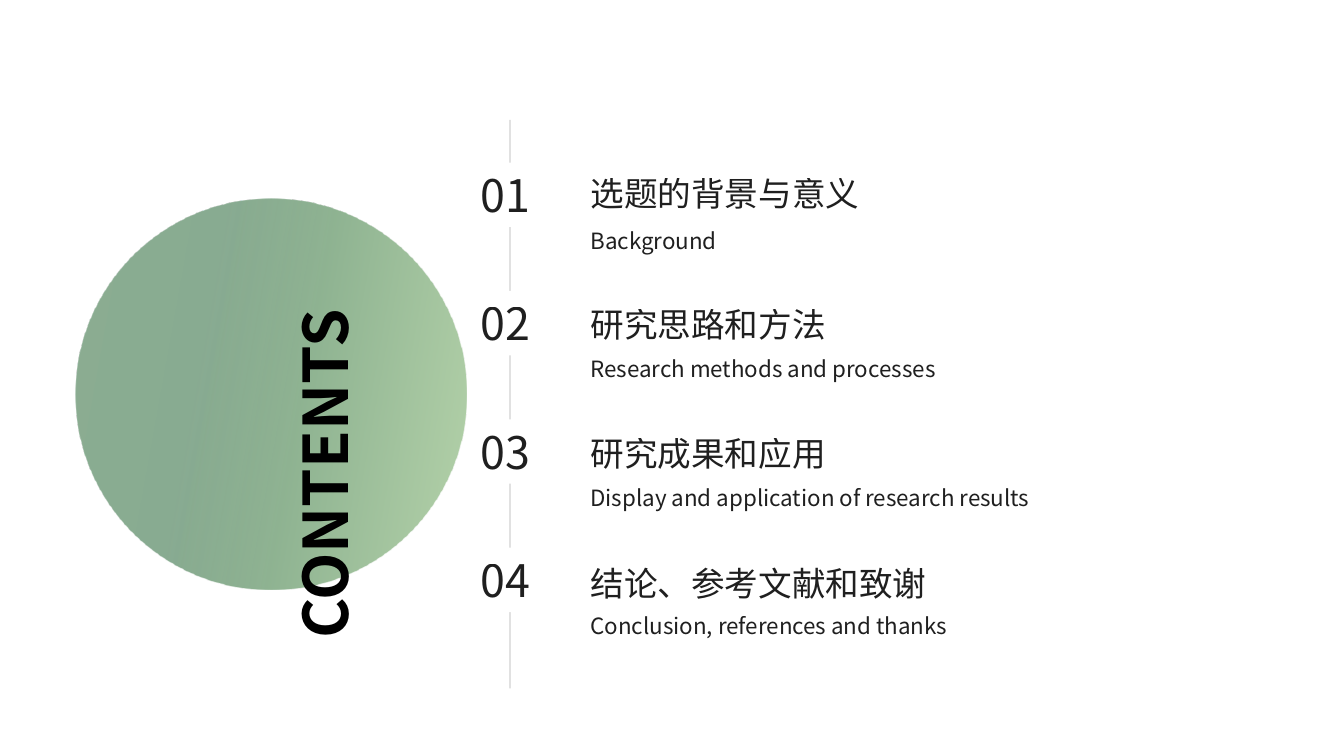
from lxml import etree
from pptx import Presentation
from pptx.dml.color import RGBColor
from pptx.enum.shapes import MSO_CONNECTOR, MSO_SHAPE
from pptx.enum.text import MSO_ANCHOR, MSO_AUTO_SIZE, PP_ALIGN
from pptx.oxml import parse_xml
from pptx.oxml.ns import nsdecls, qn
from pptx.util import Pt

OVAL = MSO_SHAPE.OVAL
STRAIGHT = MSO_CONNECTOR.STRAIGHT
LEFT, JUSTIFY = PP_ALIGN.LEFT, PP_ALIGN.JUSTIFY
TOP = MSO_ANCHOR.TOP
GROW = MSO_AUTO_SIZE.SHAPE_TO_FIT_TEXT
BLACK = RGBColor(0x00, 0x00, 0x00)
WHITE = RGBColor(0xFF, 0xFF, 0xFF)
FONT = "Noto Sans CJK SC"

# position %, colour, opacity %
CIRCLE_STOPS = [
    (0, RGBColor(0xC5, 0xE0, 0xB4), 100),
    (43, RGBColor(0x91, 0xB5, 0x93), 100),
    (62, RGBColor(0x79, 0xA0, 0x83), 88),
    (83, RGBColor(0x7B, 0xA2, 0x84), 88),
    (100, RGBColor(0xAF, 0xCE, 0xA6), 100),
]
CIRCLE_ANGLE = 134

# title, subtitle, title top, title width
CHAPTERS = [
    ("选题的背景与意义", "Background", 120.2, 236),
    ("研究思路和方法", "Research methods and processes", 213.8, 236),
    ("研究成果和应用", "Display and application of research results", 306, 236),
    ("结论、参考文献和致谢", "Conclusion, references and thanks", 398.2, 332),
]
ROW_PITCH = 91.7


def set_alpha(fill, percent):
    color = fill._xPr.find(qn("a:solidFill"))[0]
    etree.SubElement(color, qn("a:alpha")).set("val", str(percent * 1000))


def add_text(shapes, text, left, top, width, height, size=16, align=LEFT,
             bold=False, alpha=88, rotation=0, back=None):
    s = shapes.add_textbox(Pt(left), Pt(top), Pt(width), Pt(height))
    s.rotation = rotation
    if back is not None:
        s.fill.solid()
        s.fill.fore_color.rgb = back
    tf = s.text_frame
    tf.word_wrap = True
    tf.auto_size = GROW
    tf.vertical_anchor = TOP
    p = tf.paragraphs[0]
    p.alignment = align
    r = p.add_run()
    r.text = text
    r.font.name = FONT
    r.font.size = Pt(size)
    r.font.bold = bold
    r.font.fill.solid()
    r.font.fill.fore_color.rgb = BLACK
    if alpha < 100:
        set_alpha(r.font.fill, alpha)
    etree.SubElement(r.font._rPr, qn("a:ea")).set("typeface", FONT)


prs = Presentation()
prs.slide_width, prs.slide_height = Pt(960), Pt(540)
s = prs.slides.add_slide(prs.slide_layouts[6])

# Gradient circle with the vertical heading
circle = s.shapes.add_shape(OVAL, Pt(54), Pt(141.8), Pt(279.4), Pt(279.4))
circle.shadow.inherit = False
circle.rotation = 56.2
circle.line.fill.background()
stops = "".join(
    f'<a:gs pos="{pos * 1000}"><a:srgbClr val="{color}">'
    f'<a:alpha val="{opacity * 1000}"/></a:srgbClr></a:gs>'
    for pos, color, opacity in CIRCLE_STOPS)
gradient = parse_xml(
    f'<a:gradFill {nsdecls("a")} rotWithShape="1"><a:gsLst>{stops}</a:gsLst>'
    f'<a:lin ang="{CIRCLE_ANGLE * 60000}" scaled="0"/></a:gradFill>')
circle._element.spPr.find(qn("a:prstGeom")).addnext(gradient)

add_text(s.shapes, "CONTENTS", 50.4, 252, 362.2, 60.5, size=44,
         align=JUSTIFY, bold=True, alpha=100, rotation=270)

# Agenda: a thin line interrupted by the chapter numbers
agenda = s.shapes.add_group_shape().shapes
line = agenda.add_connector(STRAIGHT, Pt(364.3), Pt(85.7), Pt(364.3), Pt(491.8))
line.line.width = Pt(0.5)
line.line.fill.solid()
line.line.color.rgb = BLACK
set_alpha(line.line.fill, 32)
etree.SubElement(line._element.spPr, qn("a:effectLst"))

for i, (title, subtitle, title_top, title_width) in enumerate(CHAPTERS):
    offset = i * ROW_PITCH
    add_text(agenda, title, 414.7, title_top, title_width, 36.4, size=24, align=JUSTIFY)
    add_text(agenda, subtitle, 414.7, 158.6 + offset, 419.8, 31.7)
    add_text(agenda, f"{i + 1:02}", 336.2, 116.1 + offset, 74.2, 46, size=32, back=WHITE)

prs.save("out.pptx")
